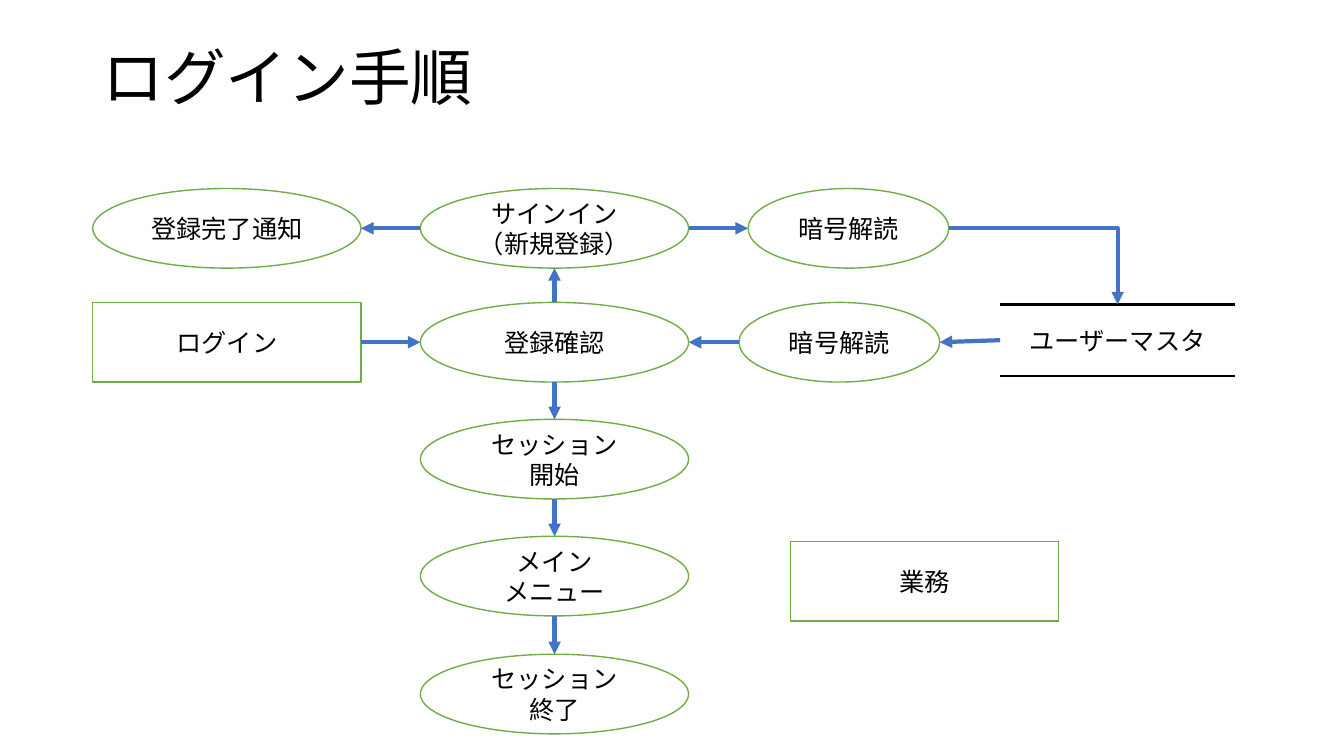
from lxml.etree import SubElement
from pptx import Presentation
from pptx.dml.color import RGBColor
from pptx.enum.shapes import MSO_CONNECTOR, MSO_SHAPE
from pptx.enum.text import MSO_ANCHOR, PP_ALIGN
from pptx.oxml.ns import qn
from pptx.util import Inches, Pt

FONT = "Noto Sans CJK JP"
BLACK = RGBColor(0x00, 0x00, 0x00)
WHITE = RGBColor(0xFF, 0xFF, 0xFF)
GREEN = RGBColor(0x70, 0xAD, 0x47)
BLUE = RGBColor(0x44, 0x72, 0xC4)

TITLE = "ログイン手順"
WIDE, NARROW, HEIGHT = 2.66, 1.99, 0.79
LEFT, MIDDLE = 0.92, 4.17
ROWS = [1.87, 3.0, 4.16, 5.32, 6.49]
OVAL, RECT = MSO_SHAPE.OVAL, MSO_SHAPE.RECTANGLE

# key: (text, shape, left, top, width)
STEPS = {
    "notice": ("登録完了通知", OVAL, LEFT, ROWS[0], WIDE),
    "sign_in": ("サインイン\n（新規登録）", OVAL, MIDDLE, ROWS[0], WIDE),
    "decode_new": ("暗号解読", OVAL, 7.42, ROWS[0], NARROW),
    "login": ("ログイン", RECT, LEFT, ROWS[1], WIDE),
    "check": ("登録確認", OVAL, MIDDLE, ROWS[1], WIDE),
    "decode_saved": ("暗号解読", OVAL, 7.33, ROWS[1], NARROW),
    "start": ("セッション\n開始", OVAL, MIDDLE, ROWS[2], WIDE),
    "menu": ("メイン\nメニュー", OVAL, MIDDLE, ROWS[3], WIDE),
    "end": ("セッション\n終了", OVAL, MIDDLE, ROWS[4], WIDE),
    "business": ("業務", RECT, 7.84, 5.37, WIDE),
}
MASTER_TEXT = "ユーザーマスタ"
MASTER_AREA = (9.92, 3.02, 2.33, 0.71)

# (from, side, to, side)
FLOWS = [
    ("login", "right", "check", "left"),
    ("master", "left", "decode_saved", "right"),
    ("decode_saved", "left", "check", "right"),
    ("check", "top", "sign_in", "bottom"),
    ("sign_in", "left", "notice", "right"),
    ("sign_in", "right", "decode_new", "left"),
    ("decode_new", "right", "master", "top"),
    ("check", "bottom", "start", "top"),
    ("start", "bottom", "menu", "top"),
    ("menu", "bottom", "end", "top"),
]
SIDES = {"left": (0, 0.5), "right": (1, 0.5), "top": (0.5, 0), "bottom": (0.5, 1)}


def write(box, text, size=18, align=PP_ALIGN.CENTER, spacing=1.0):
    """Fill a box with one paragraph per line of text."""
    frame = box.text_frame
    frame.word_wrap = True
    frame.vertical_anchor = MSO_ANCHOR.MIDDLE
    for index, line in enumerate(text.split("\n")):
        para = frame.add_paragraph() if index else frame.paragraphs[0]
        para.alignment = align
        para.line_spacing = spacing
        span = para.add_run()
        span.text = line
        span.font.size = Pt(size)
        span.font.name = FONT
        span.font.color.rgb = BLACK
        SubElement(span.font._element, qn("a:ea"), typeface=FONT)


def add_box(shapes, text, kind, area, outline=None):
    """Add a white shape with centred text and an optional outline."""
    box = shapes.add_shape(kind, *map(Inches, area))
    box.shadow.inherit = False
    box.fill.solid()
    box.fill.fore_color.rgb = WHITE
    if outline is None:
        box.line.fill.background()
    else:
        box.line.color.rgb = outline
        box.line.width = Pt(1)
    write(box, text)
    return box


def add_line(shapes, start, end, color, width, arrow=False):
    """Draw a line, with one right-angle bend when it changes direction."""
    bent = min(abs(start[0] - end[0]), abs(start[1] - end[1])) > Inches(0.1)
    kind = MSO_CONNECTOR.ELBOW if bent else MSO_CONNECTOR.STRAIGHT
    line = shapes.add_connector(kind, *start, *end)
    line.line.color.rgb = color
    line.line.width = Pt(width)
    properties = line._element.spPr
    if bent:
        properties.find(qn("a:prstGeom")).set("prst", "bentConnector2")
    if arrow:
        SubElement(properties.find(qn("a:ln")), qn("a:tailEnd"), type="triangle")
    SubElement(properties, qn("a:effectLst"))


def side_point(box, side):
    """Return the midpoint of one side of a box."""
    across, down = SIDES[side]
    return int(box.left + across * box.width), int(box.top + down * box.height)


def add_master(shapes):
    """Add the data store: text between two rules, as a group."""
    group = shapes.add_group_shape()
    box = add_box(group.shapes, MASTER_TEXT, RECT, MASTER_AREA)
    right = box.left + box.width
    for level in (box.top, box.top + box.height):
        add_line(group.shapes, (box.left, level), (right, level), BLACK, 2)
    return box


deck = Presentation()
deck.slide_width, deck.slide_height = Inches(13.33), Inches(7.5)
page = deck.slides.add_slide(deck.slide_layouts[6])

title = page.shapes.add_textbox(*map(Inches, (LEFT, 0.4, 11.5, 0.79)))
write(title, TITLE, size=44, align=PP_ALIGN.LEFT, spacing=0.9)

boxes = {
    key: add_box(page.shapes, text, kind, (left, top, width, HEIGHT), GREEN)
    for key, (text, kind, left, top, width) in STEPS.items()
}
boxes["master"] = add_master(page.shapes)

for source, source_side, target, target_side in FLOWS:
    start = side_point(boxes[source], source_side)
    end = side_point(boxes[target], target_side)
    add_line(page.shapes, start, end, BLUE, 3, arrow=True)

deck.save("out.pptx")
